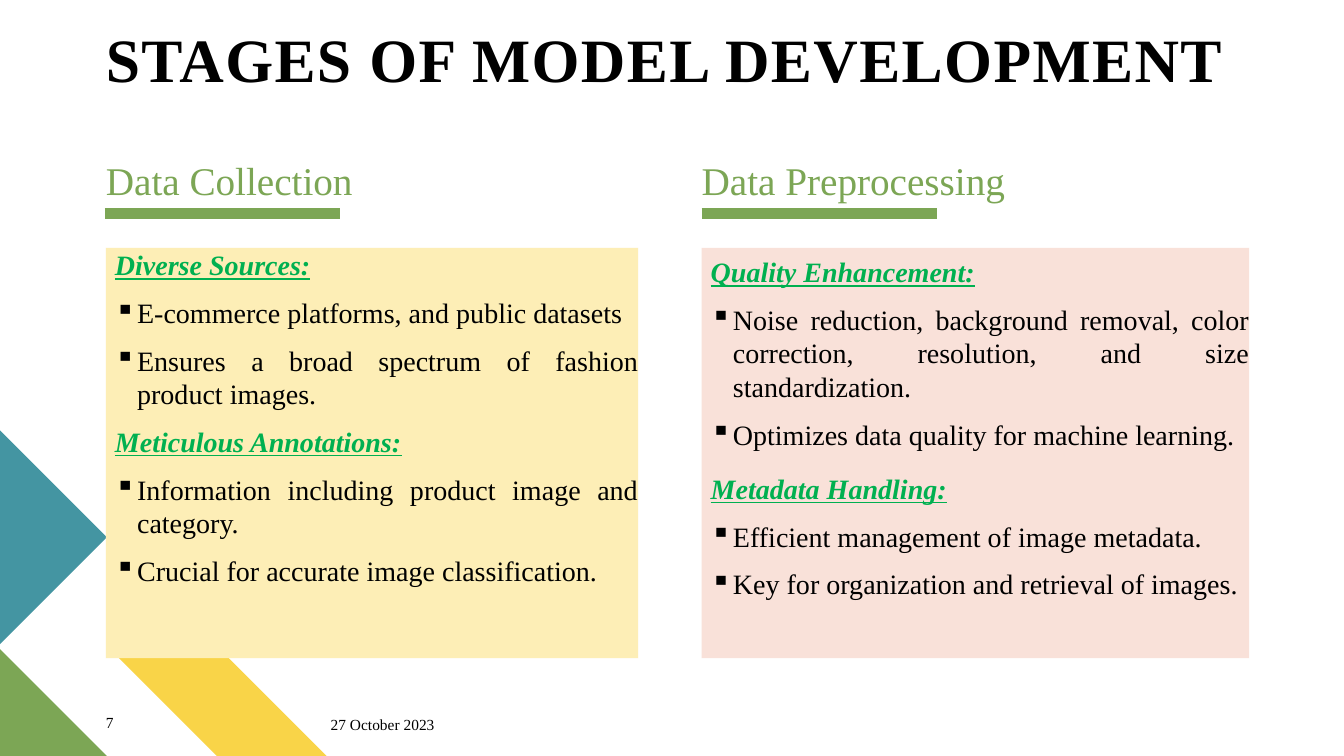
from lxml import etree
from pptx import Presentation
from pptx.dml.color import RGBColor
from pptx.enum.shapes import MSO_CONNECTOR, MSO_SHAPE
from pptx.enum.text import MSO_ANCHOR, PP_ALIGN
from pptx.oxml.ns import qn
from pptx.util import Inches, Pt

STRAIGHT, RECTANGLE = MSO_CONNECTOR.STRAIGHT, MSO_SHAPE.RECTANGLE
TOP, MIDDLE, BOTTOM = MSO_ANCHOR.TOP, MSO_ANCHOR.MIDDLE, MSO_ANCHOR.BOTTOM
JUSTIFY = PP_ALIGN.JUSTIFY

BLACK = RGBColor(0x00, 0x00, 0x00)
GREEN = RGBColor(0x7C, 0xA6, 0x55)
TEAL = RGBColor(0x44, 0x95, 0xA2)
YELLOW = RGBColor(0xF9, 0xD4, 0x48)
HEADING_GREEN = RGBColor(0x00, 0xB0, 0x50)
CREAM = RGBColor(0xFD, 0xEE, 0xB6)
PINK = RGBColor(0xF9, 0xE1, 0xD9)

FONT = "Times New Roman"
WIDTH, HEIGHT = 13.33, 7.5
UNIT = 1.06  # side of the corner triangle

# Columns and rows of the page, in inches
LEFT_COLUMN, RIGHT_COLUMN = 1.05, 6.96
HEADING_ROW, RULE_ROW, PANEL_ROW = 1.49, 2.12, 2.46
HEADING_HEIGHT, PANEL_HEIGHT = 0.64, 4.07
RULE_LENGTH = 2.33

# Column left, rule left, panel width, panel colour, heading line spacing, title, sections
STAGES = [
    (LEFT_COLUMN, 1.04, 5.28, CREAM, 1.0, "Data Collection", {
        "Diverse Sources:": [
            "E-commerce platforms, and public datasets",
            "Ensures a broad spectrum of fashion product images.",
        ],
        "Meticulous Annotations:": [
            "Information including product image and category.",
            "Crucial for accurate image classification.",
        ],
    }),
    (RIGHT_COLUMN, RIGHT_COLUMN, 5.43, PINK, 1.2, "Data Preprocessing", {
        "Quality Enhancement:": [
            "Noise reduction, background removal, color correction, "
            "resolution, and size standardization.",
            "Optimizes data quality for machine learning.",
        ],
        "Metadata Handling:": [
            "Efficient management of image metadata.",
            "Key for organization and retrieval of images.",
        ],
    }),
]


def add_polygon(slide, points, color):
    start, *others = [(Inches(x), Inches(y)) for x, y in points]
    builder = slide.shapes.build_freeform(*start)
    builder.add_line_segments(others, close=True)
    shape = builder.convert_to_shape()
    shape.shadow.inherit = False
    shape.fill.solid()
    shape.fill.fore_color.rgb = color
    shape.line.fill.background()


def add_corner_art(slide):
    add_polygon(slide, [(UNIT, 6.41), (1.61, 5.87), (3.24, HEIGHT), (2.15, HEIGHT)], YELLOW)
    add_polygon(slide, [(0, HEIGHT - UNIT), (UNIT, HEIGHT), (0, HEIGHT)], GREEN)
    tip = 5.33
    add_polygon(slide, [(0, tip - UNIT), (UNIT, tip), (0, tip + UNIT)], TEAL)


def add_rule(slide, left):
    y = Inches(RULE_ROW)
    rule = slide.shapes.add_connector(
        STRAIGHT, Inches(left), y, Inches(left + RULE_LENGTH), y)
    rule.line.color.rgb = GREEN
    rule.line.width = Pt(8)
    etree.SubElement(rule._element.spPr, qn("a:effectLst"))


def prepare_frame(frame, anchor):
    frame.word_wrap = True
    frame.vertical_anchor = anchor
    frame.margin_left = frame.margin_right = 0
    frame.margin_top = frame.margin_bottom = 0


def format_text(para, size, color, emphasis=False):
    for span in para.runs:
        font = span.font
        font.name, font.size = FONT, Pt(size)
        font.color.rgb = color
        font.bold = font.italic = font.underline = emphasis


def add_label(slide, place, text, size, color, anchor=TOP, spacing=1.0):
    box = slide.shapes.add_textbox(*map(Inches, place))
    prepare_frame(box.text_frame, anchor)
    para = box.text_frame.paragraphs[0]
    para.text = text
    para.line_spacing = spacing
    format_text(para, size, color)
    return para.runs[0]


def indent(para, bulleted):
    """Give a hanging indent, with a square bullet if asked for."""
    properties = para._p.get_or_add_pPr()
    properties.set("marL", str(Inches(0.31)))
    properties.set("indent", str(Inches(-0.22)))
    if bulleted:
        etree.SubElement(properties, qn("a:buChar")).set("char", "▪")
    else:
        etree.SubElement(properties, qn("a:buNone"))


def add_panel(slide, left, width, color, heading_spacing, sections):
    panel = slide.shapes.add_shape(
        RECTANGLE, *map(Inches, (left, PANEL_ROW, width, PANEL_HEIGHT)))
    panel.shadow.inherit = False
    panel.fill.solid()
    panel.fill.fore_color.rgb = color
    panel.line.fill.background()
    frame = panel.text_frame
    prepare_frame(frame, TOP)

    lines = []
    for heading, points in sections.items():
        lines.append((heading, True))
        lines += [(point, False) for point in points]
    frame.text = "\n".join(text for text, _ in lines)
    for para, (_, is_heading) in zip(frame.paragraphs, lines):
        para.alignment = JUSTIFY
        para.space_before = Pt(10)
        para.line_spacing = heading_spacing if is_heading else 1.0
        indent(para, not is_heading)
        format_text(para, 20, HEADING_GREEN if is_heading else BLACK, is_heading)


def main():
    deck = Presentation()
    deck.slide_width, deck.slide_height = Inches(WIDTH), Inches(HEIGHT)
    slide = deck.slides.add_slide(deck.slide_layouts[6])

    add_corner_art(slide)
    title = add_label(slide, (LEFT_COLUMN, 0.1, 11.11, 0.85),
                      "STAGES OF MODEL DEVELOPMENT", 44, BLACK, BOTTOM, 0.9)
    title.font.bold = True
    title.font._element.set("spc", "100")

    for left, rule_left, width, color, spacing, heading, sections in STAGES:
        add_rule(slide, rule_left)
        add_label(slide, (left, HEADING_ROW, width, HEADING_HEIGHT),
                  heading, 28, GREEN, MIDDLE, 0.9)
        add_panel(slide, left, width, color, spacing, sections)

    add_label(slide, (LEFT_COLUMN, 7.07, 0.57, 0.27), "7", 11, BLACK)
    add_label(slide, (3.28, 7.09, 1.44, 0.27), "27 October 2023", 11, BLACK)
    deck.save("out.pptx")


if __name__ == "__main__":
    main()
